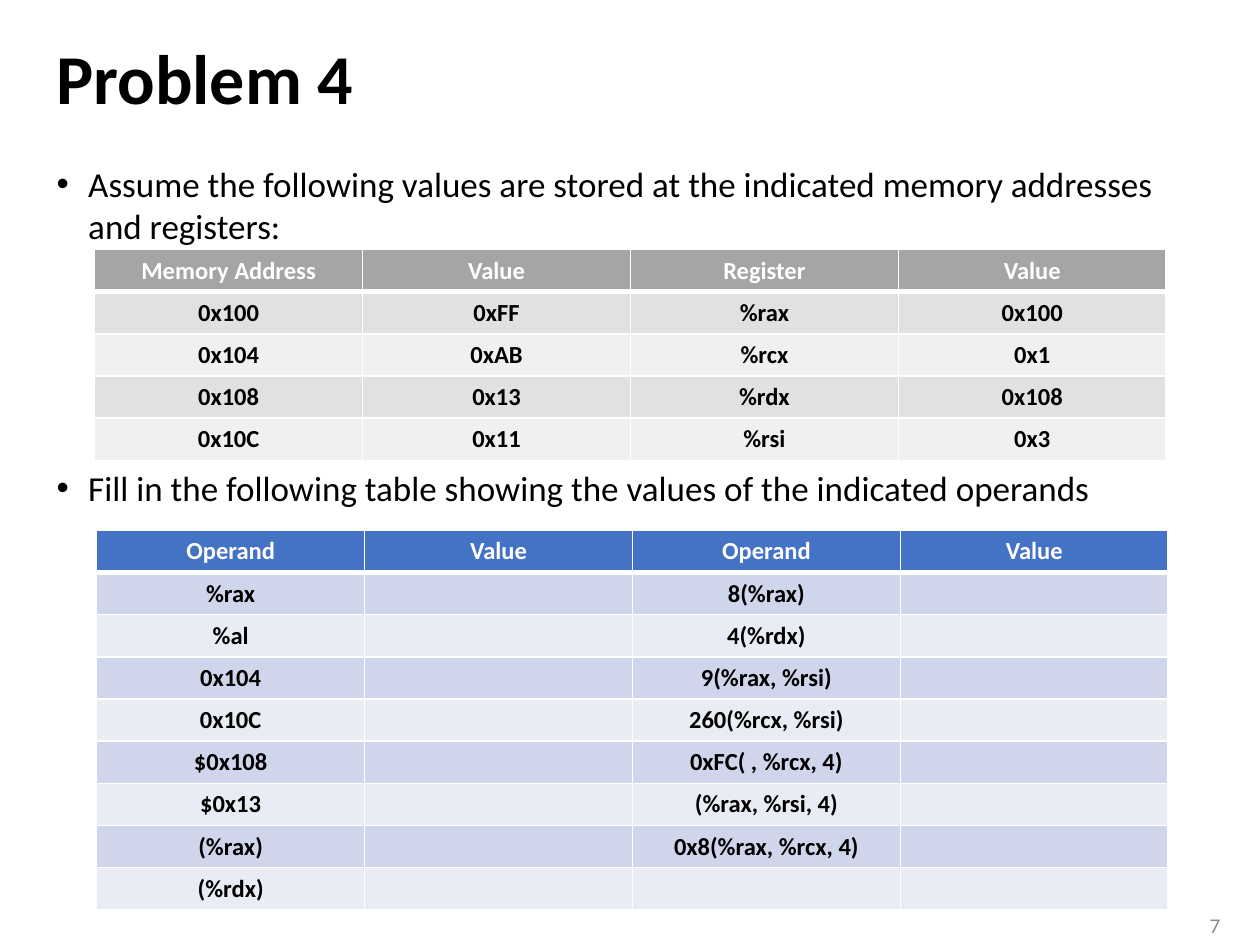
from dataclasses import dataclass

from lxml.etree import SubElement
from pptx import Presentation
from pptx.dml.color import RGBColor
from pptx.enum.text import MSO_ANCHOR as Anchor, PP_ALIGN as Align
from pptx.oxml.ns import qn
from pptx.slide import Slide
from pptx.table import _Cell as Cell
from pptx.text.text import _Paragraph as Paragraph
from pptx.util import Cm, Pt

BLACK = RGBColor(0x00, 0x00, 0x00)
WHITE = RGBColor(0xFF, 0xFF, 0xFF)
NUMBER_GRAY = RGBColor(0x8C, 0x8C, 0x8C)
GRAY = RGBColor(0xA5, 0xA5, 0xA5)
GRAY_DARK_BAND = RGBColor(0xE1, 0xE1, 0xE1)
GRAY_LIGHT_BAND = RGBColor(0xF0, 0xF0, 0xF0)
BLUE = RGBColor(0x44, 0x72, 0xC4)
BLUE_DARK_BAND = RGBColor(0xCF, 0xD5, 0xEA)
BLUE_LIGHT_BAND = RGBColor(0xE9, 0xEB, 0xF5)

FONT = "Calibri"
COLUMN_WIDTH = Cm(5.4)
ROW_HEIGHT = Cm(0.85)
CELL_SIZE = 14


@dataclass
class TextBox:
    left: float
    top: float
    width: float
    height: float
    lines: list[str]
    size: int
    color: RGBColor = BLACK
    bold: bool = False
    align: Align = Align.LEFT
    anchor: Anchor = Anchor.MIDDLE
    line_spacing: float = 1.0


@dataclass
class Grid:
    left: float
    top: float
    header_fill: RGBColor
    bands: tuple[RGBColor, RGBColor]
    rows: list[tuple[str, str, str, str]]


TITLE = TextBox(0.89, 0.48, 23.6, 2.34, ["Problem 4"], 40, bold=True, line_spacing=0.9)
BODY = TextBox(0.89, 3.15, 23.6, 14.8, [
    "Assume the following values are stored at the indicated memory addresses and registers:",
    "Fill in the following table showing the values of the indicated operands",
], 20, anchor=Anchor.TOP)
SLIDE_NUMBER = TextBox(23.55, 18.26, 1.3, 0.79, ["7"], 12, NUMBER_GRAY, align=Align.RIGHT)

STORED_VALUES = Grid(1.91, 5.03, GRAY, (GRAY_DARK_BAND, GRAY_LIGHT_BAND), [
    ("Memory Address", "Value", "Register", "Value"),
    ("0x100", "0xFF", "%rax", "0x100"),
    ("0x104", "0xAB", "%rcx", "0x1"),
    ("0x108", "0x13", "%rdx", "0x108"),
    ("0x10C", "0x11", "%rsi", "0x3"),
])
OPERANDS = Grid(1.95, 10.69, BLUE, (BLUE_DARK_BAND, BLUE_LIGHT_BAND), [
    ("Operand", "Value", "Operand", "Value"),
    ("%rax", "", "8(%rax)", ""),
    ("%al", "", "4(%rdx)", ""),
    ("0x104", "", "9(%rax, %rsi)", ""),
    ("0x10C", "", "260(%rcx, %rsi)", ""),
    ("$0x108", "", "0xFC( , %rcx, 4)", ""),
    ("$0x13", "", "(%rax, %rsi, 4)", ""),
    ("(%rax)", "", "0x8(%rax, %rcx, 4)", ""),
    ("(%rdx)", "", "", ""),
])


def format_spans(para: Paragraph, size: int, color: RGBColor, bold: bool) -> None:
    for span in para.runs:
        span.font.name = FONT
        span.font.size = Pt(size)
        span.font.bold = bold
        span.font.color.rgb = color


def add_bullet(para: Paragraph) -> None:
    props = para._p.get_or_add_pPr()
    props.set("marL", str(Cm(0.64)))
    props.set("indent", str(-Cm(0.64)))
    SubElement(props, qn("a:buFont"), typeface="Arial")
    SubElement(props, qn("a:buChar"), char="•")


def add_text(page: Slide, text: TextBox) -> list[Paragraph]:
    box = page.shapes.add_textbox(Cm(text.left), Cm(text.top), Cm(text.width), Cm(text.height))
    frame = box.text_frame
    frame.word_wrap = True
    frame.vertical_anchor = text.anchor
    frame.text = "\n".join(text.lines)
    for para in frame.paragraphs:
        para.alignment = text.align
        para.line_spacing = text.line_spacing
        format_spans(para, text.size, text.color, text.bold)
    return list(frame.paragraphs)


def add_borders(cell: Cell, top: float, bottom: float) -> None:
    props = cell._tc.get_or_add_tcPr()
    for side, width in (("L", 1), ("R", 1), ("T", top), ("B", bottom)):
        line = SubElement(props, qn(f"a:ln{side}"), w=str(Pt(width)))
        fill = SubElement(line, qn("a:solidFill"))
        SubElement(fill, qn("a:srgbClr"), val=str(WHITE))


def fill_cell(cell: Cell, text: str, row: int, grid: Grid) -> None:
    header = row == 0
    add_borders(cell, top=3 if row == 1 else 1, bottom=3 if header else 1)
    cell.fill.solid()
    cell.fill.fore_color.rgb = grid.header_fill if header else grid.bands[(row - 1) % 2]
    cell.vertical_anchor = Anchor.MIDDLE
    para = cell.text_frame.paragraphs[0]
    para.alignment = Align.CENTER
    if text:
        para.text = text
        format_spans(para, CELL_SIZE, WHITE if header else BLACK, True)
    else:
        # An empty cell needs its own text size to keep the row height
        SubElement(para._p, qn("a:endParaRPr"), sz=str(CELL_SIZE * 100))


def add_grid(page: Slide, grid: Grid) -> None:
    rows, columns = len(grid.rows), len(grid.rows[0])
    table = page.shapes.add_table(rows, columns, Cm(grid.left), Cm(grid.top),
                                  COLUMN_WIDTH * columns, ROW_HEIGHT * rows).table
    table.first_row = table.horz_banding = False
    for row, texts in enumerate(grid.rows):
        for column, text in enumerate(texts):
            fill_cell(table.cell(row, column), text, row, grid)


def main() -> None:
    deck = Presentation()
    deck.slide_width, deck.slide_height = Cm(25.4), Cm(19.05)
    page = deck.slides.add_slide(deck.slide_layouts[6])

    # Title, bullets and slide number
    add_text(page, TITLE)
    bullets = add_text(page, BODY)
    for para in bullets:
        add_bullet(para)
    bullets[1].space_before = Pt(126)  # room for the first table
    add_text(page, SLIDE_NUMBER)

    # Tables
    add_grid(page, STORED_VALUES)
    add_grid(page, OPERANDS)

    deck.save("out.pptx")


if __name__ == "__main__":
    main()
